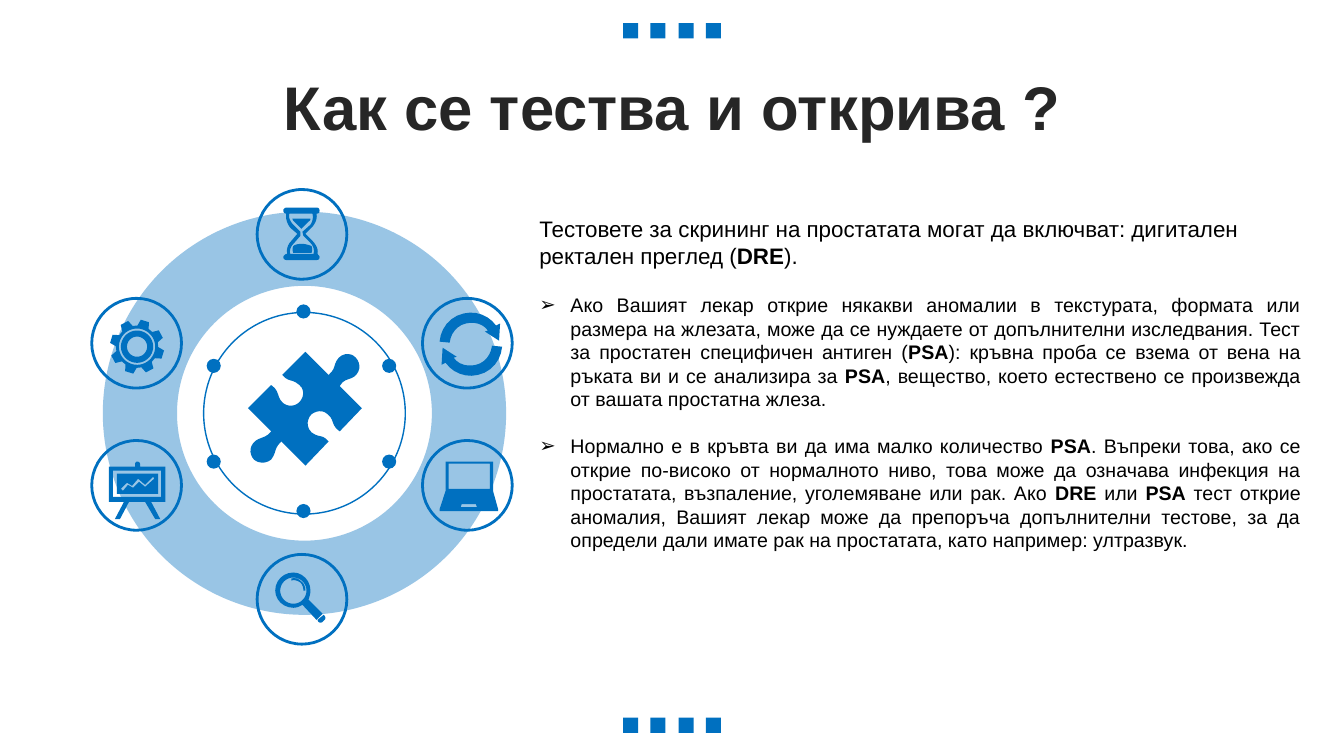
from dataclasses import dataclass
from math import cos, radians, sin

from lxml import etree
from pptx import Presentation
from pptx import util as u
from pptx.dml.color import RGBColor
from pptx.enum import shapes, text
from pptx.oxml import ns

PX = 9144  # 100 px to the inch


@dataclass(frozen=True)
class Theme:
    font: str = "Arial"
    accent: RGBColor = RGBColor(0x00, 0x70, 0xC0)
    heading: RGBColor = RGBColor(0x26, 0x26, 0x26)
    body: RGBColor = RGBColor(0x00, 0x00, 0x00)
    heading_size: int = 44
    intro_size: int = 16
    point_size: int = 14
    leading: float = 1.2


HEADING = "Как се тества и открива ?"
# Asterisks enclose bold words.
INTRO = ("Тестовете за скрининг на простатата могат да включват: дигитален "
         "ректален преглед (*DRE*).")
POINTS = [
    "Ако Вашият лекар открие някакви аномалии в текстурата, формата или размера на "
    "жлезата, може да се нуждаете от допълнителни изследвания. Тест за простатен "
    "специфичен антиген (*PSA*): кръвна проба се взема от вена на ръката ви и се "
    "анализира за *PSA*, вещество, което естествено се произвежда от вашата "
    "простатна жлеза.",
    "Нормално е в кръвта ви да има малко количество *PSA*. Въпреки това, ако се "
    "открие по-високо от нормалното ниво, това може да означава инфекция на "
    "простатата, възпаление, уголемяване или рак. Ако *DRE* или *PSA* тест открие "
    "аномалия, Вашият лекар може да препоръча допълнителни тестове, за да определи "
    "дали имате рак на простатата, като например: ултразвук.",
]

# Outlines in px: M starts a contour, L is a line, C a curve, O a circle (x, y, radius).
HOURGLASS = """
M 300 242 C 303 242 306 243 309 244 C 310 246 310 249 309 251 L 291 251
C 290 249 290 246 291 244 C 294 242 297 242 300 242
M 290 217 L 308 217 C 308 219 307 219 306 220 L 299 227 L 292 220 C 291 219 291 219 290 217
M 287 212 C 286 216 288 220 291 223 L 298 230 L 298 234 L 291 242 C 288 245 287 249 288 252
L 311 252 C 312 248 311 244 308 241 L 301 234 L 300 230 L 308 223 C 310 220 311 216 310 212
M 284 206 L 314 206 C 316 206 317 207 317 209 C 317 211 316 212 314 212
C 315 217 313 221 310 225 L 303 232 L 310 239 C 314 243 316 248 315 252
C 316 253 317 254 317 255 C 317 257 316 258 314 258 L 284 258 C 283 258 281 257 281 255
C 281 254 283 252 284 252 L 285 252 C 284 248 285 243 289 239 L 295 232 L 288 226
C 285 222 283 217 284 212 C 282 212 281 210 281 209 C 281 207 283 206 284 206"""
REFRESH_ARROW = """
M 488 343 L 498 344 C 497 357 488 369 474 372 C 462 375 449 370 442 360 L 438 362
L 439 345 L 453 354 L 450 355 C 455 362 464 364 472 362 C 481 360 487 352 488 343"""
LAPTOP = """
M 458 500 L 457 503 L 473 503 L 472 500
M 445 460 L 445 485 L 486 485 L 486 460
M 442 458 L 489 458 L 489 487 L 494 505 L 494 507 L 436 507 L 436 505 L 442 487"""
EASEL = """
M 120 485 L 126 479 L 131 482 L 137 475 L 144 481 L 152 473 L 153 475
L 144 483 L 138 478 L 132 484 L 127 481 L 122 487
M 116 470 L 157 470 L 157 490 L 116 490
M 112 467 L 112 493 L 160 493 L 160 467
M 136 458 C 138 458 139 459 139 461 L 139 463 L 164 463 L 164 498 L 150 498 L 159 515
L 154 515 L 144 498 L 128 498 L 119 515 L 114 515 L 123 498 L 108 498 L 108 463 L 134 463
L 134 461 C 134 459 135 458 136 458"""
MAGNIFIER = """
M 321 610 L 322 611 C 323 612 323 614 322 615 L 320 617 C 319 618 317 618 316 617
C 316 617 315 616 315 615
M 289 574 C 293 573 296 574 299 577 C 302 579 303 583 303 586 L 301 586
C 301 583 300 580 298 578 C 295 576 292 575 289 576
O 291 586 13
M 291 568 C 300 568 308 576 308 586 C 308 589 307 592 306 595 L 320 609 L 314 615
L 300 600 C 297 602 294 603 291 603 C 281 603 273 595 273 586 C 273 576 281 568 291 568"""
PUZZLE = """
M 353 355 C 357 359 358 366 354 371 C 349 378 342 374 337 383 L 359 405 L 337 428
C 328 422 332 416 325 411 C 320 406 313 408 309 411 C 305 415 303 423 309 429
C 317 435 319 430 326 438 L 303 462 L 279 438 C 271 446 275 448 269 456
C 263 461 255 459 252 456 C 248 452 247 445 251 440 C 256 433 263 436 269 428
L 246 405 L 269 382 C 278 388 274 394 281 400 C 286 404 293 403 297 399
C 301 395 303 387 297 382 C 289 375 287 380 280 372 L 303 349 L 326 372
C 334 365 330 362 336 355 C 342 349 350 351 353 355"""
GEAR_RINGS = "O 136 344 10 O 136 344 16 O 136 344 18"


def polar(x, y, radius, degrees):
    return x + radius * cos(radians(degrees)), y + radius * sin(radians(degrees))


def bezier(points, steps=6):
    """Points along a cubic curve, without its start."""
    for t in (n / steps for n in range(1, steps + 1)):
        weights = (1 - t) ** 3, 3 * t * (1 - t) ** 2, 3 * t * t * (1 - t), t ** 3
        yield tuple(sum(w * p[axis] for w, p in zip(weights, points)) for axis in (0, 1))


def contours(outline):
    """Turn an outline string into lists of points."""
    found, tokens = [], iter(outline.split())
    for command in tokens:
        values = [int(next(tokens)) for _ in range({"C": 6, "O": 3}.get(command, 2))]
        pairs = list(zip(values[::2], values[1::2]))
        if command == "O":
            found.append([polar(*values, degrees) for degrees in range(0, 360, 8)])
        elif command == "M":
            found.append(pairs)
        elif command == "L":
            found[-1] += pairs
        else:
            found[-1] += list(bezier([found[-1][-1], *pairs]))
    return found


def assign(target, **values):
    for name, value in values.items():
        setattr(target, name, value)


class Deck:
    def __init__(self, theme):
        self.theme = theme
        self.file = Presentation()
        assign(self.file, slide_width=1333 * PX, slide_height=750 * PX)
        self.slide = self.file.slides.add_slide(self.file.slide_layouts[5])

    def add_words(self, paragraph, words, size, color, bold=False):
        for n, part in enumerate(words.split("*")):
            run = paragraph.add_run()
            run.text = part
            assign(run.font, name=self.theme.font, size=u.Pt(size), bold=bold or n % 2 == 1)
            run.font.color.rgb = color

    def title(self, words, left, top, width, height):
        heading = self.slide.shapes.title
        assign(heading, left=left * PX, top=top * PX, width=width * PX, height=height * PX)
        assign(heading.text_frame, word_wrap=True, auto_size=text.MSO_AUTO_SIZE.NONE,
               vertical_anchor=text.MSO_ANCHOR.MIDDLE)
        line = heading.text_frame.paragraphs[0]
        assign(line, alignment=text.PP_ALIGN.CENTER, line_spacing=0.9)
        self.add_words(line, words, self.theme.heading_size, self.theme.heading, bold=True)

    def explanation(self, intro, points, *box):
        frame = self.slide.shapes.add_textbox(*(n * PX for n in box)).text_frame
        assign(frame, word_wrap=True, auto_size=text.MSO_AUTO_SIZE.NONE)
        gap = u.Pt(self.theme.point_size * self.theme.leading)
        for n, words in enumerate([intro, *points]):
            paragraph = frame.add_paragraph() if n else frame.paragraphs[0]
            size = self.theme.point_size if n else self.theme.intro_size
            assign(paragraph, line_spacing=u.Pt(size * self.theme.leading),
                   space_before=gap if n else 0)
            if n:
                paragraph.alignment = text.PP_ALIGN.JUSTIFY
                self.bullet(paragraph)
            self.add_words(paragraph, words, size, self.theme.body)

    def bullet(self, paragraph):
        properties = paragraph._p.get_or_add_pPr()
        properties.set("marL", str(31 * PX))
        properties.set("indent", str(-31 * PX))
        etree.SubElement(properties, ns.qn("a:buFont")).set("typeface", self.theme.font)
        etree.SubElement(properties, ns.qn("a:buChar")).set("char", "➢")

    def paint(self, shape, alpha=None):
        shape.shadow.inherit = False
        shape.fill.solid()
        shape.fill.fore_color.rgb = self.theme.accent
        shape.line.fill.background()
        if alpha:
            color = shape._element.spPr.find(".//" + ns.qn("a:srgbClr"))
            etree.SubElement(color, ns.qn("a:alpha")).set("val", str(alpha * 1000))

    def solid(self, kind, left, top, size, alpha=None):
        shape = self.slide.shapes.add_shape(kind, left * PX, top * PX, size * PX, size * PX)
        self.paint(shape, alpha)
        return shape

    def ring(self, left, top, size, weight):
        circle = self.solid(shapes.MSO_SHAPE.OVAL, left, top, size)
        circle.fill.background()
        circle.line.color.rgb = self.theme.accent
        circle.line.width = u.Pt(weight)

    def icon(self, outlines):
        scaled = [[(x * PX, y * PX) for x, y in outline] for outline in outlines]
        builder = self.slide.shapes.build_freeform(*scaled[0][0])
        builder.add_line_segments(scaled[0][1:], close=True)
        for outline in scaled[1:]:
            builder.move_to(*outline[0])
            builder.add_line_segments(outline[1:], close=True)
        self.paint(builder.convert_to_shape())


def main():
    deck = Deck(Theme())
    for top in (23, 712):
        for n in range(4):
            deck.solid(shapes.MSO_SHAPE.RECTANGLE, 618 + round(27.3 * n), top, 15)
    deck.title(HEADING, 34, 70, 1266, 79)
    deck.explanation(INTRO, POINTS, 525, 209, 775, 370)

    wheel = deck.solid(shapes.MSO_SHAPE.DONUT, 102, 210, 400, alpha=40)
    wheel.adjustments[0] = 0.184
    deck.ring(202, 310, 200, weight=1)
    side, middle = (296, 437), (188, 550)
    for left, tops in ((91, side), (255, middle), (419, side)):
        for top in tops:
            deck.ring(left, top, 89, weight=2)
    side, middle = (356, 451), (302, 500)
    for left, tops in ((205, side), (294, middle), (379, side)):
        for top in tops:
            deck.solid(shapes.MSO_SHAPE.OVAL, left, top, 14)

    tooth = ((21, -16), (27, -9), (27, 9), (21, 16))
    teeth = [polar(136, 344, radius, 17 + 45 * n + offset)
             for n in range(8) for radius, offset in tooth]
    arrow = contours(REFRESH_ARROW)
    opposite = [[(934 - x, 683 - y) for x, y in outline] for outline in arrow]
    deck.icon(contours(GEAR_RINGS) + [teeth])
    deck.icon(arrow + opposite)
    for outline in (HOURGLASS, LAPTOP, EASEL, MAGNIFIER, PUZZLE):
        deck.icon(contours(outline))
    deck.file.save("out.pptx")


if __name__ == "__main__":
    main()
